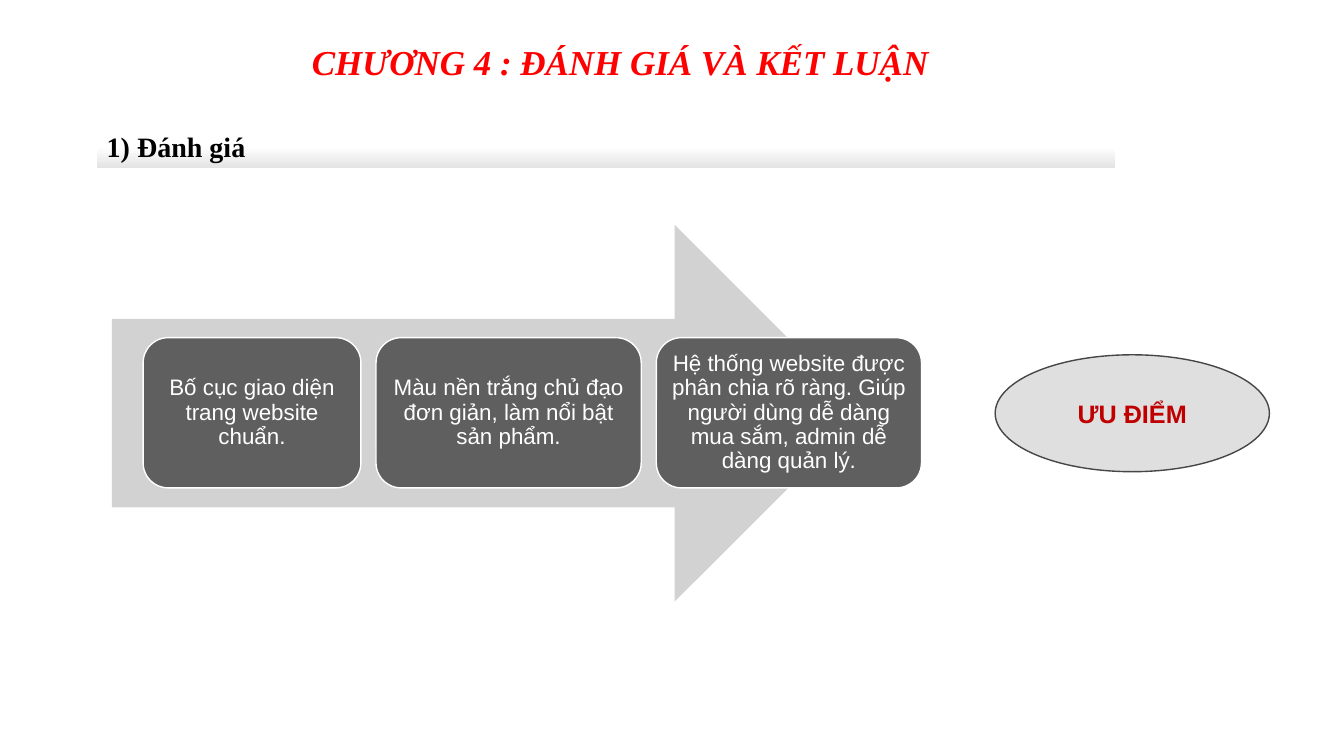
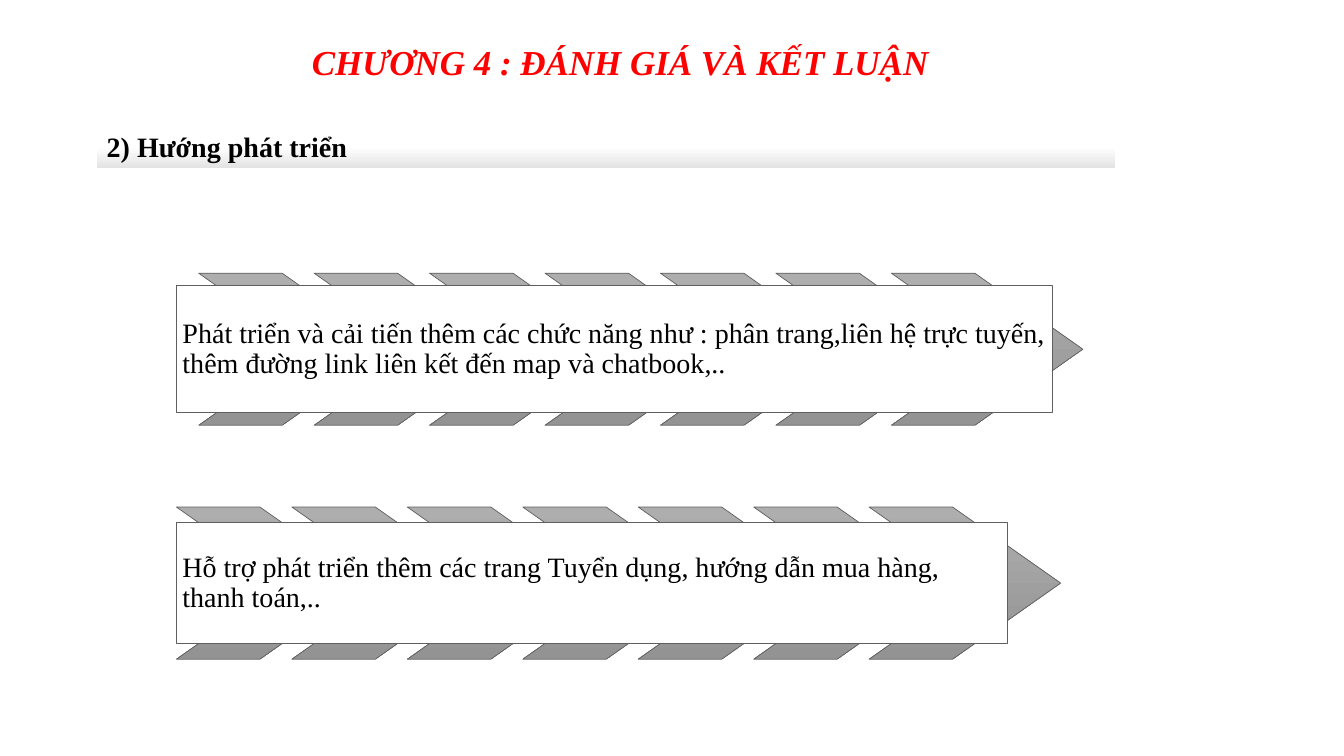
from pptx import Presentation
from pptx.dml.color import RGBColor
from pptx.enum import shapes, text
from pptx.util import Inches, Pt

WHITE = RGBColor(0xFF, 0xFF, 0xFF)
BLACK = RGBColor(0x00, 0x00, 0x00)
RED = RGBColor(0xFF, 0x00, 0x00)
DARK_RED = RGBColor(0xC0, 0x00, 0x00)
CHARCOAL = RGBColor(0x5F, 0x5F, 0x5F)
OUTLINE = RGBColor(0x46, 0x46, 0x46)
ARROW_GRAY = RGBColor(0xD2, 0xD2, 0xD2)
OVAL_GRAY = RGBColor(0xDF, 0xDF, 0xDF)
BAND_GRAY = RGBColor(0xE3, 0xE3, 0xE3)
CHEVRON_LIGHT = RGBColor(0xAE, 0xAE, 0xAE)
CHEVRON_DARK = RGBColor(0x93, 0x93, 0x93)
SERIF, SANS = "Times New Roman", "Arial"
LEFT, CENTER = text.PP_ALIGN.LEFT, text.PP_ALIGN.CENTER
PRESET = shapes.MSO_SHAPE


def write(shape, wording, size, color, font=SERIF, bold=False, italic=False,
          align=LEFT, spacing=1.0, inset_x=0.1, inset_y=0.05):
    frame = shape.text_frame
    frame.word_wrap = True
    frame.auto_size = text.MSO_AUTO_SIZE.NONE
    frame.vertical_anchor = text.MSO_ANCHOR.MIDDLE
    frame.margin_left = frame.margin_right = Inches(inset_x)
    frame.margin_top = frame.margin_bottom = Inches(inset_y)
    para = frame.paragraphs[0]
    para.alignment = align
    para.line_spacing = spacing
    span = para.add_run()
    span.text = wording
    span.font.name, span.font.size = font, Pt(size)
    span.font.bold, span.font.italic = bold, italic
    span.font.color.rgb = color


def draw(page, preset, left, top, width, height, fill, line=None, weight=1, start=0):
    """Add a preset shape; a pair of colours as fill runs from top to bottom."""
    shape = page.shapes.add_shape(
        preset, Inches(left), Inches(top), Inches(width), Inches(height))
    shape.shadow.inherit = False
    if isinstance(fill, list):
        shape.fill.gradient()
        shape.fill.gradient_angle = 270
        for stop, color, position in zip(shape.fill.gradient_stops, fill, (start, 1)):
            stop.color.rgb = color
            stop.position = position
    else:
        shape.fill.solid()
        shape.fill.fore_color.rgb = fill
    if line is None:
        shape.line.fill.background()
    else:
        shape.line.color.rgb = line
        shape.line.width = Pt(weight)
    return shape


deck = Presentation()
deck.slide_width, deck.slide_height = Inches(13.33), Inches(7.5)

# Shared chapter title and section band
pages = []
for heading in ("1) Đánh giá", "2) Hướng phát triển"):
    page = deck.slides.add_slide(deck.slide_layouts[5])
    title = page.shapes.title
    title.left, title.top = Inches(1.36), Inches(0.21)
    title.width, title.height = Inches(9.58), Inches(0.8)
    write(title, "CHƯƠNG 4 : ĐÁNH GIÁ VÀ KẾT LUẬN", 25, RED,
          bold=True, italic=True, align=CENTER)
    band = draw(page, PRESET.RECTANGLE, 0.96, 1.24, 10.1, 0.43,
                [WHITE, BAND_GRAY], WHITE, 0.5, start=0.5)
    write(band, heading, 20, BLACK, bold=True)
    pages.append(page)
review, outlook = pages

# Review: strengths along a wide arrow
draw(review, PRESET.RIGHT_ARROW, 1.11, 2.23, 7.45, 3.74, ARROW_GRAY)
strengths = [
    ("Bố cục giao diện trang website chuẩn.", 2.16),
    ("Màu nền trắng chủ đạo đơn giản, làm nổi bật sản phẩm.", 2.63),
    ("Hệ thống website được phân chia rõ ràng. Giúp người dùng dễ dàng "
     "mua sắm, admin dễ dàng quản lý.", 2.63),
]
card_left, card_gap = 1.42, 0.15
for wording, width in strengths:
    card = draw(review, PRESET.ROUNDED_RECTANGLE, card_left, 3.35, width, 1.49,
                CHARCOAL, WHITE)
    write(card, wording, 16, WHITE, font=SANS, align=CENTER, spacing=0.9,
          inset_x=0.07, inset_y=0.07)
    card_left += width + card_gap

oval = draw(review, PRESET.OVAL, 9.87, 3.52, 2.72, 1.16, OVAL_GRAY, OUTLINE)
write(oval, "ƯU ĐIỂM", 18, DARK_RED, font=SANS, bold=True, align=CENTER)

# Outlook: a text box over each row of chevrons
CHEVRON_COUNT, CHEVRON_STEP = 7, 6.87 / 6
CHEVRON_WIDTH, CHEVRON_HEIGHT = 1.9, 1.51
BOX_LEFT = 1.75
plans = [
    ("Phát triển và cải tiến thêm các chức năng như : phân trang,liên hệ trực tuyến, "
     "thêm đường link liên kết đến map và chatbook,..", 1.97, 2.71, 8.69, 1.26),
    ("Hỗ trợ phát triển thêm các trang Tuyển dụng, hướng dẫn mua hàng, thanh toán,..",
     1.75, 5.03, 8.24, 1.2),
]
for wording, row_left, row_top, box_width, box_height in plans:
    for index in range(CHEVRON_COUNT):
        chevron = draw(outlook, PRESET.CHEVRON, row_left + index * CHEVRON_STEP, row_top,
                       CHEVRON_WIDTH, CHEVRON_HEIGHT,
                       [CHEVRON_LIGHT, CHEVRON_DARK], CHARCOAL, 0.5)
        chevron.adjustments[0] = 0.71
    box_top = row_top + (CHEVRON_HEIGHT - box_height) / 2
    box = draw(outlook, PRESET.RECTANGLE, BOX_LEFT, box_top, box_width, box_height,
               WHITE, CHARCOAL, 0.5)
    write(box, wording, 20, BLACK, spacing=0.9, inset_x=0.06, inset_y=0.06)

deck.save("out.pptx")
